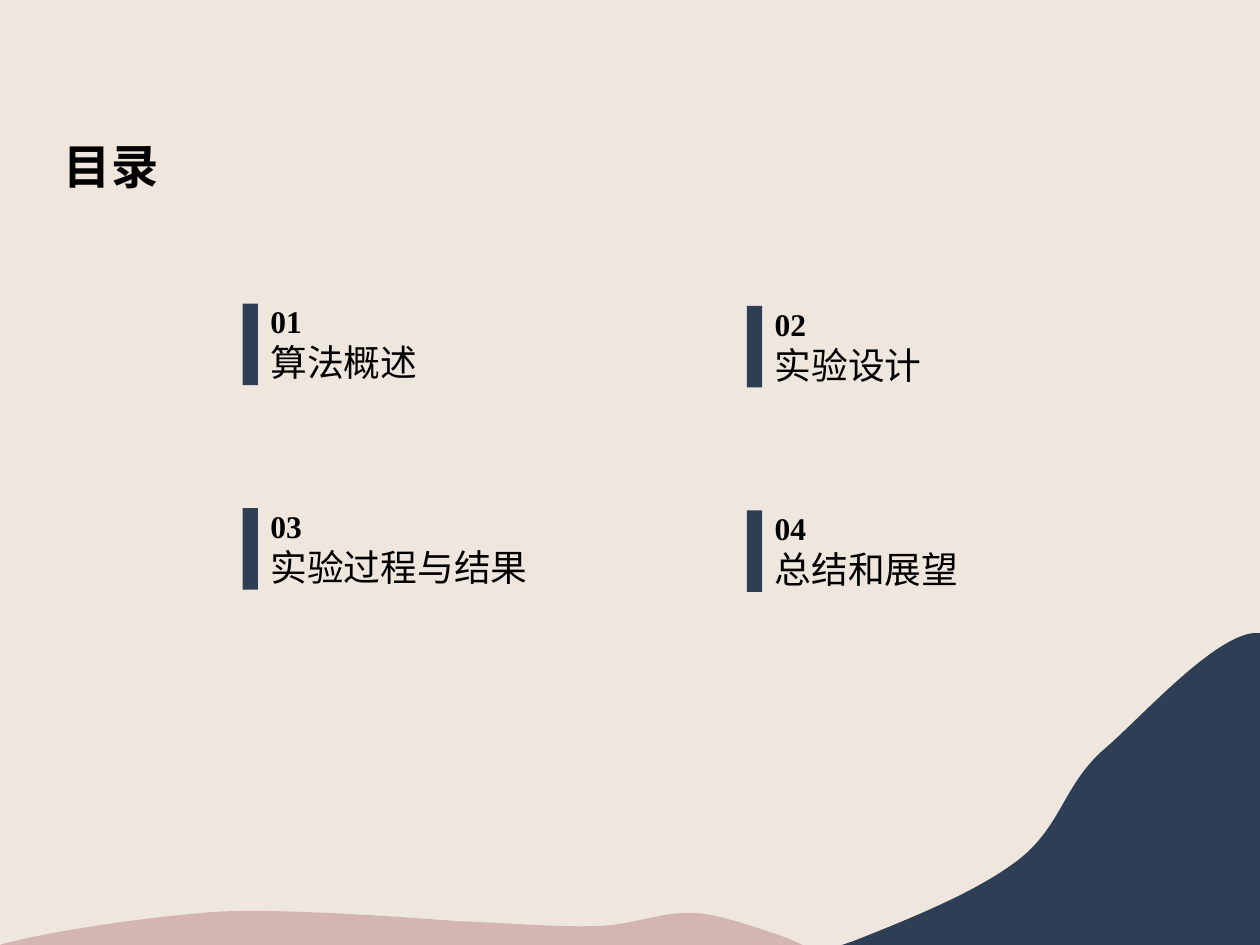
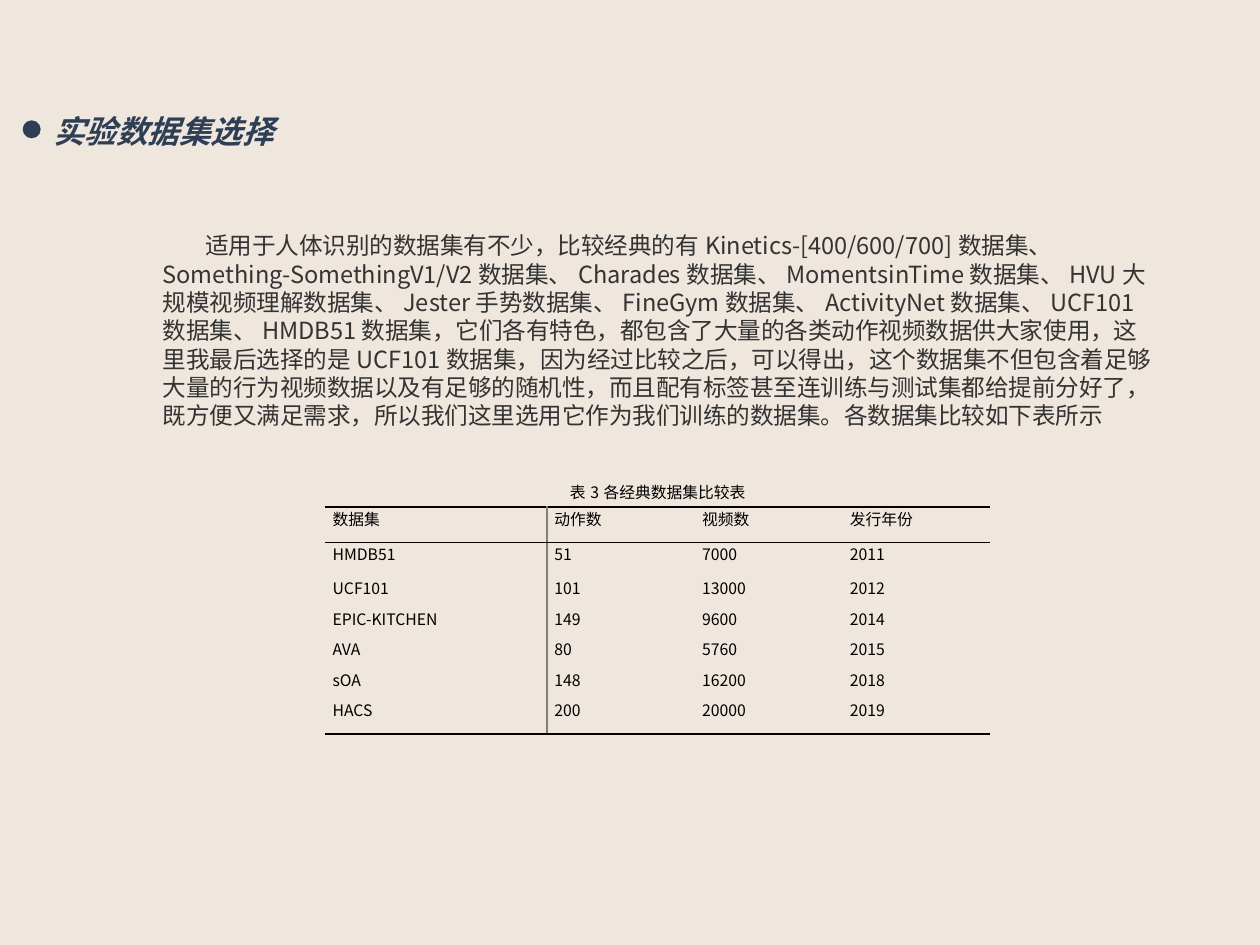
from dataclasses import dataclass
from lxml import etree
from pptx import Presentation
from pptx.dml.color import RGBColor
from pptx.enum.shapes import MSO_SHAPE
from pptx.enum.text import MSO_ANCHOR, MSO_AUTO_SIZE, PP_ALIGN
from pptx.oxml.ns import qn
from pptx.util import Inches, Pt

RECTANGLE, ELLIPSE = MSO_SHAPE.RECTANGLE, MSO_SHAPE.OVAL
TOP, MIDDLE = MSO_ANCHOR.TOP, MSO_ANCHOR.MIDDLE
LEFT, CENTER = PP_ALIGN.LEFT, PP_ALIGN.CENTER
GROW, FIXED = MSO_AUTO_SIZE.SHAPE_TO_FIT_TEXT, MSO_AUTO_SIZE.NONE
COLUMNS, ROWS = 100, 75


@dataclass(frozen=True)
class Theme:
    """Colours, fonts and type sizes shared by the slides."""
    sand: str = "EFE6DD"
    navy: str = "2E3F55"
    rose: str = "D4B5B2"
    ink: str = "000000"
    body_ink: str = "333333"
    rule: str = "080000"
    divider: str = "7F7F7F"
    serif: str = "Times New Roman"
    sans: str = "Noto Sans CJK SC"
    title: float = 27
    topic: float = 21
    heading: float = 18
    body: float = 13.5
    table: float = 9


THEME = Theme()
CONTENTS = ["算法概述", "实验设计", "实验过程与结果", "总结和展望"]
DATASET_CHOICE = (
    "适用于人体识别的数据集有不少，比较经典的有Kinetics-[400/600/700]数据集、"
    "Something-SomethingV1/V2数据集、Charades数据集、MomentsinTime数据集、"
    "HVU大规模视频理解数据集、Jester手势数据集、FineGym数据集、ActivityNet数据集、"
    "UCF101数据集、HMDB51数据集，它们各有特色，都包含了大量的各类动作视频数据供大家使用，"
    "这里我最后选择的是UCF101数据集，因为经过比较之后，可以得出，"
    "这个数据集不但包含着足够大量的行为视频数据以及有足够的随机性，"
    "而且配有标签甚至连训练与测试集都给提前分好了，既方便又满足需求，"
    "所以我们这里选用它作为我们训练的数据集。各数据集比较如下表所示"
)
DATASETS = [
    ("数据集", "动作数", "视频数", "发行年份"),
    ("HMDB51", "51", "7000", "2011"),
    ("UCF101", "101", "13000", "2012"),
    ("EPIC-KITCHEN", "149", "9600", "2014"),
    ("AVA", "80", "5760", "2015"),
    ("sOA", "148", "16200", "2018"),
    ("HACS", "200", "20000", "2019"),
]
ROSE_HILL = [
    (20.9, 72.3),
    (27.6, 72.4, 36.1, 73.1, 36.1, 73.1),
    (41.2, 73.3, 44.1, 73.6, 47.4, 73.5),
    (50.8, 73.4, 53, 72, 56.3, 72.6),
    (57.9, 72.9, 60.4, 73.7, 62.6, 74.5),
    (63.7, 75), (0, 75), (0.3, 74.9),
    (4.6, 73.8, 11.6, 72.8, 16.8, 72.4),
    (18, 72.3, 19.4, 72.3, 20.9, 72.3),
]
NAVY_HILL = [
    (100, 75), (66.8, 75), (67.7, 74.7),
    (72.5, 72.8, 77.1, 70.9, 80.2, 68.7),
    (84.3, 65.9, 84.2, 62.4, 87.7, 59.4),
    (90.5, 57, 96.1, 50.7, 99.4, 50.25),
    (100, 50.25),
]


def write(paragraph, text, size, color=THEME.ink, font=THEME.sans,
          bold=False, italic=False, align=LEFT, indent=0):
    """Write one formatted run into a paragraph."""
    paragraph.alignment = align
    if indent:
        properties = paragraph._p.get_or_add_pPr()
        properties.set("marL", "0")
        properties.set("indent", str(indent))
    run = paragraph.add_run()
    run.text = text
    run.font.size = Pt(size)
    run.font.name = font
    run.font.bold = bold
    run.font.italic = italic
    run.font.color.rgb = RGBColor.from_string(color)
    east_asian = etree.SubElement(run._r.get_or_add_rPr(), qn("a:ea"))
    east_asian.set("typeface", THEME.sans)


def set_borders(cell, borders):
    """Draw the given sides of a cell and clear the others."""
    properties = cell._tc.get_or_add_tcPr()
    for side in "LRTB":
        line = etree.SubElement(properties, qn(f"a:ln{side}"))
        if side in borders:
            color, width = borders[side]
            line.set("w", str(Pt(width)))
            fill = etree.SubElement(line, qn("a:solidFill"))
            etree.SubElement(fill, qn("a:srgbClr")).set("val", color)
        else:
            line.set("w", "0")
            etree.SubElement(line, qn("a:noFill"))


class Deck:
    """Hold the theme and current slide and draw on its grid."""

    def __init__(self, theme):
        """Start an empty presentation."""
        self.theme = theme
        self.presentation = Presentation()
        self.presentation.slide_width = Inches(10)
        self.presentation.slide_height = Inches(7.5)
        self.slide = None

    def x(self, columns):
        """Convert grid columns to a length."""
        return round(self.presentation.slide_width * columns / COLUMNS)

    def y(self, rows):
        """Convert grid rows to a length."""
        return round(self.presentation.slide_height * rows / ROWS)

    def area(self, left, top, width, height):
        """Convert a grid area to lengths."""
        return self.x(left), self.y(top), self.x(width), self.y(height)

    def new_slide(self):
        """Add a blank slide with the shared background."""
        self.slide = self.presentation.slides.add_slide(self.presentation.slide_layouts[6])
        fill = self.slide.background.fill
        fill.solid()
        fill.fore_color.rgb = RGBColor.from_string(self.theme.sand)

    def group(self):
        """Add an empty group to the slide."""
        return self.slide.shapes.add_group_shape()

    def paint(self, shape, color):
        """Give a shape a flat fill."""
        shape.shadow.inherit = False
        shape.fill.solid()
        shape.fill.fore_color.rgb = RGBColor.from_string(color)
        shape.line.fill.background()

    def shape(self, group, kind, area, color):
        """Add a flat preset shape to a group."""
        self.paint(group.shapes.add_shape(kind, *self.area(*area)), color)

    def hill(self, outline, color):
        """Add a flat hill whose outline joins lines and cubic curves."""
        ends = [(self.x(step[-2]), self.y(step[-1])) for step in outline]
        builder = self.slide.shapes.build_freeform(*ends[0])
        builder.add_line_segments(ends[1:], close=True)
        hill = builder.convert_to_shape()
        self.paint(hill, color)
        lines = list(hill._element.iter(qn("a:lnTo")))
        for line, step in zip(lines, outline[1:]):
            if len(step) == 2:
                continue
            line.tag = qn("a:cubicBezTo")
            for index, (column, row) in enumerate((step[:2], step[2:4])):
                handle = etree.Element(qn("a:pt"))
                handle.set("x", str(self.x(column) - hill.left))
                handle.set("y", str(self.y(row) - hill.top))
                line.insert(index, handle)

    def text(self, area, *lines, group=None, fit=GROW):
        """Add a text box with one paragraph for each line."""
        owner = group or self.slide
        frame = owner.shapes.add_textbox(*self.area(*area)).text_frame
        frame.word_wrap = True
        frame.auto_size = fit
        for index, (words, style) in enumerate(lines):
            paragraph = frame.add_paragraph() if index else frame.paragraphs[0]
            write(paragraph, words, **style)

    def table(self, area, caption, records, widths, heights):
        """Add a ruled table under a merged caption row."""
        last = len(records)
        table = self.slide.shapes.add_table(last + 1, len(widths), *self.area(*area)).table
        table.first_row = table.horz_banding = False
        for column, width in zip(table.columns, widths):
            column.width = self.x(width)
        for row, height in zip(table.rows, heights):
            row.height = self.y(height)
        table.cell(0, 0).merge(table.cell(0, len(widths) - 1))
        thick, thin = (self.theme.rule, 1.5), (self.theme.rule, 1)
        divider = (self.theme.divider, 1)
        rules = {0: thick, 1: thin, last: thick}
        captions = [caption] + [""] * (len(widths) - 1)
        for r, record in enumerate([captions, *records]):
            for c, words in enumerate(record):
                cell = table.cell(r, c)
                borders = {}
                if r in rules:
                    borders["B"] = rules[r]
                if r - 1 in rules:
                    borders["T"] = rules[r - 1]
                if r and c < 2:
                    borders["RL"[c]] = divider
                set_borders(cell, borders)
                cell.fill.background()
                cell.margin_left = cell.margin_right = self.x(0.6)
                cell.margin_top = cell.margin_bottom = 0
                cell.vertical_anchor = TOP if r else MIDDLE
                if words:
                    write(cell.text_frame.paragraphs[0], words, self.theme.table,
                          align=LEFT if r else CENTER)


def contents_slide(deck):
    """Build the table of contents."""
    theme = deck.theme
    deck.new_slide()
    deck.text((4.08, 10.4, 21.2, 5.5),
              ("目录", dict(size=theme.title, font=theme.serif, bold=True)))
    for index, topic in enumerate(CONTENTS):
        row, column = divmod(index, 2)
        left, top = 19.26 + 40.02 * column, 24.1 + 16.23 * row + 0.18 * column
        entry = deck.group()
        deck.shape(entry, RECTANGLE, (left, top, 1.22, 6.47), theme.navy)
        deck.text((left + 1.22, top - 0.6, 23.6 if index == 2 else 20, 7.6),
                  (f"{index + 1:02}", dict(size=theme.heading, font=theme.serif, bold=True)),
                  (topic, dict(size=theme.topic)), group=entry)
    deck.hill(ROSE_HILL, theme.rose)
    deck.hill(NAVY_HILL, theme.navy)


def dataset_slide(deck):
    """Build the data set comparison."""
    theme = deck.theme
    deck.new_slide()
    heading = deck.group()
    deck.text((3.25, 8.4, 26.7, 4),
              ("实验数据集选择", dict(size=theme.heading, color=theme.navy, font=theme.serif,
                               bold=True, italic=True)), group=heading)
    deck.shape(heading, ELLIPSE, (1.8, 9.55, 1.43, 1.43), theme.navy)
    deck.text((11.92, 17.86, 80.5, 18.4),
              (DATASET_CHOICE, dict(size=theme.body, color=theme.body_ink,
                                    indent=deck.x(3.4))), fit=FIXED)
    deck.table((25.8, 37.83, 52.8, 20.5), "表3各经典数据集比较表", DATASETS,
               [17.6] + [11.73] * 3, [2.4, 2.83, 2.72] + [2.42] * 4 + [2.8])


def main():
    """Build and save the presentation."""
    deck = Deck(THEME)
    contents_slide(deck)
    dataset_slide(deck)
    deck.presentation.save("out.pptx")


if __name__ == "__main__":
    main()
